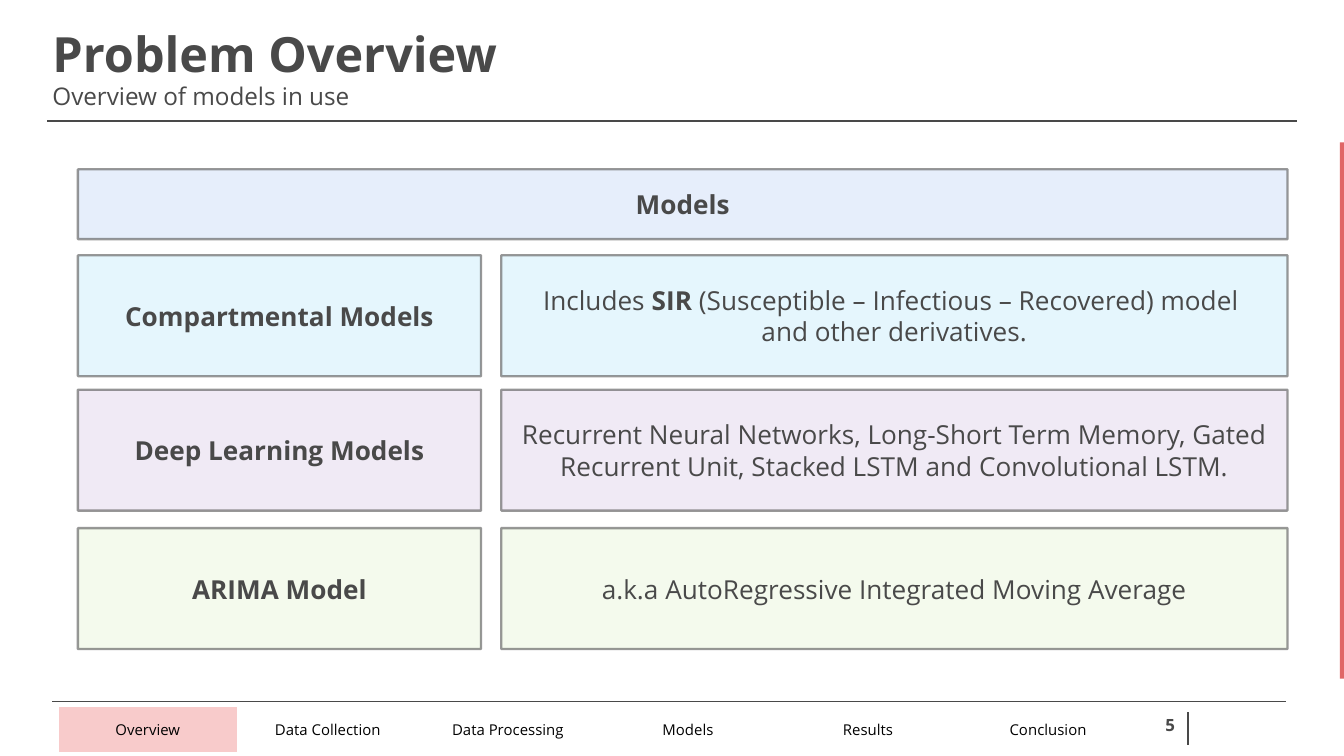
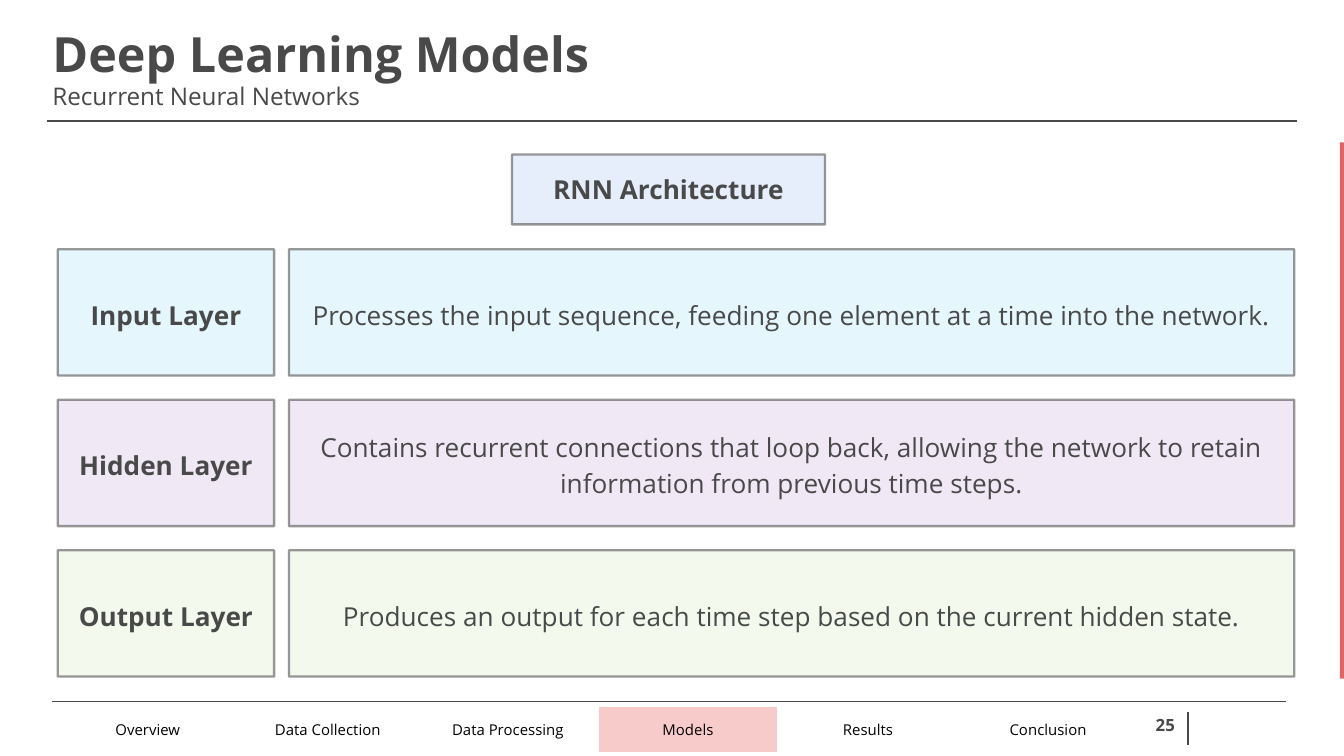
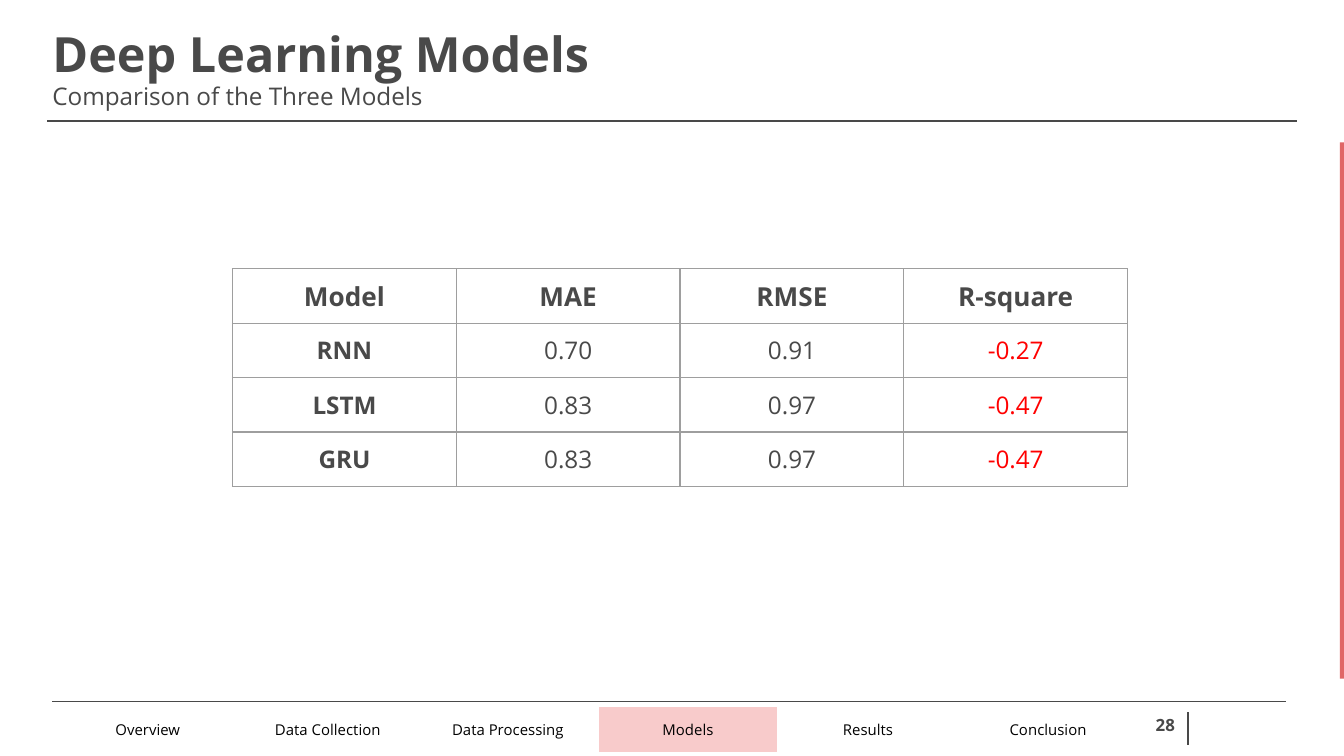
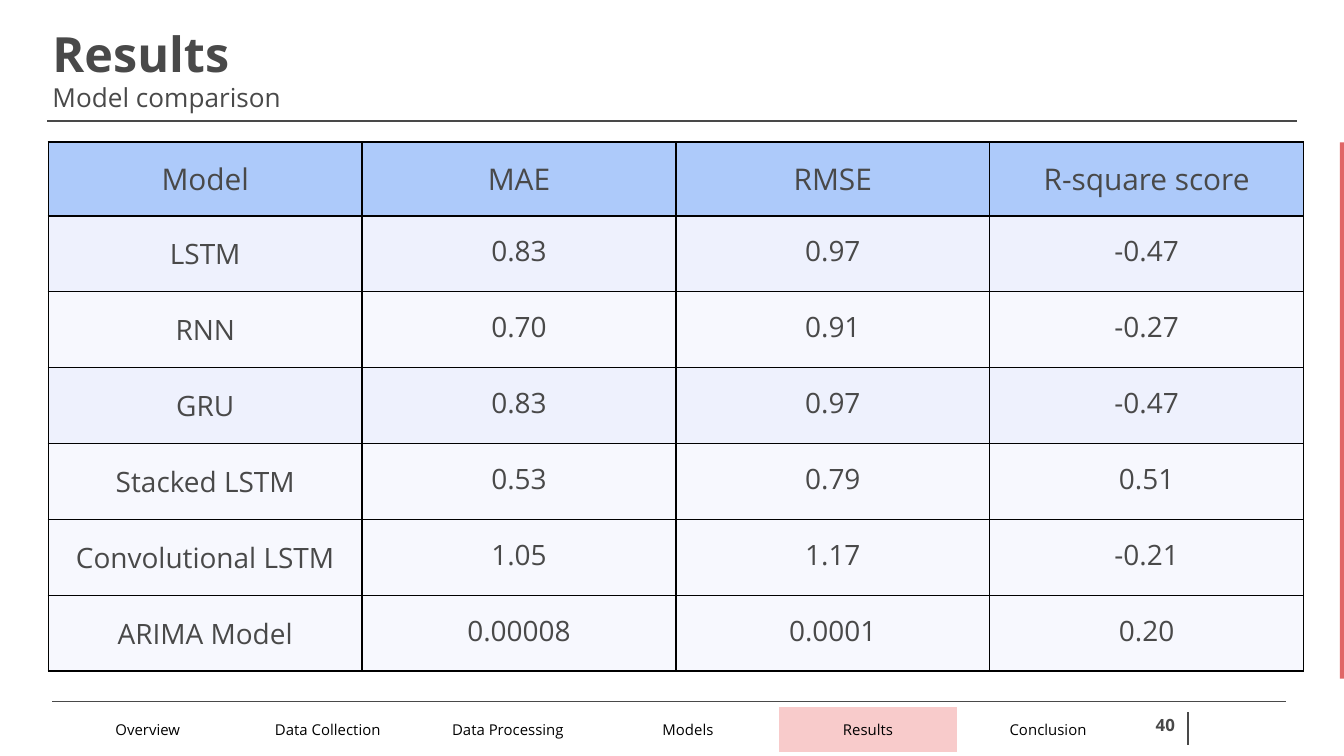
"""Build four slides on epidemic forecasting models and their results."""
from dataclasses import dataclass
from typing import NamedTuple

from lxml.etree import SubElement
from pptx import Presentation
from pptx.dml.color import RGBColor
from pptx.dml.fill import FillFormat
from pptx.enum.shapes import MSO_CONNECTOR as CONNECTOR, MSO_SHAPE as SHAPE
from pptx.enum.text import MSO_ANCHOR as ANCHOR, MSO_AUTO_SIZE as AUTO, PP_ALIGN as ALIGN
from pptx.oxml.ns import qn
from pptx.slide import Slide
from pptx.text.text import TextFrame, _Paragraph as Paragraph
from pptx.util import Emu, Pt

PX_PER_INCH = 200
FONT = "Open Sans"
INK, RED, BLACK, WHITE = "494949", "FF0000", "000000", "FFFFFF"
BAR, ACTIVE_TAB, BOX_LINE, GRID = "E06666", "F8CBCB", "595959", "9E9E9E"
SECTIONS = ("Overview", "Data Collection", "Data Processing", "Models", "Results", "Conclusion")
PAD = (20, 20, 20, 20)
CELL_PAD = (20, 10, 20, 10)
VALUE_PAD = (2, 2, 2, 10)


class Fill(NamedTuple):
    """A colour and its opacity in percent."""
    color: str
    alpha: int = 100


class Run(NamedTuple):
    """A stretch of text in one style."""
    text: str
    size: float = 14
    bold: bool = False
    color: str = INK


class Rect(NamedTuple):
    """A place on the slide in px."""
    x: int
    y: int
    w: int
    h: int


class Cell(NamedTuple):
    """One table cell."""
    run: Run
    fill: Fill | None = None
    pad: tuple[int, int, int, int] = CELL_PAD


class Row(NamedTuple):
    """A labelled band: its top, label, description lines and fill."""
    y: int
    label: str
    lines: list[list[Run]]
    fill: Fill


@dataclass
class Grid:
    """Columns and spacing shared by the labelled bands of one slide."""
    label_x: int
    label_w: int
    text_x: int
    text_w: int
    h: int
    spacing: float


BLUE, CYAN = Fill("0D5BDC", 10), Fill("00B0F0", 10)
LILAC, PURPLE = Fill("F0EAF5"), Fill("7030A0", 10)
MINT, GREEN = Fill("F4FAED"), Fill("92D050", 10)
HEADER = Fill("4285F4", 43)
DARK_BAND, LIGHT_BAND = Fill("CFD9FB", 35), Fill("E9EDFD", 35)


def px(n: int) -> Emu:
    """Turn px into EMU."""
    return Emu(n * 914400 // PX_PER_INCH)


def rgb(color: str) -> RGBColor:
    """Turn a hex string into a colour."""
    return RGBColor.from_string(color)


def paint(target: FillFormat, fill: Fill) -> None:
    """Apply a solid fill with its opacity."""
    target.solid()
    target.fore_color.rgb = rgb(fill.color)
    if fill.alpha < 100:
        color = target._xPr.find(qn("a:solidFill"))[0]
        SubElement(color, qn("a:alpha"), val=str(fill.alpha * 1000))


def add_run(p: Paragraph, run: Run) -> None:
    """Add a styled run to a paragraph."""
    r = p.add_run()
    r.text = run.text
    r.font.name, r.font.size, r.font.bold = FONT, Pt(run.size), run.bold
    r.font.color.rgb = rgb(run.color)


def set_pad(target, pad: tuple[int, int, int, int]) -> None:
    """Set the left, top, right and bottom margins of a frame or cell."""
    for side, n in zip(("left", "top", "right", "bottom"), pad):
        setattr(target, f"margin_{side}", px(n))


def fill_frame(tf: TextFrame, lines: list[list[Run]], align: ALIGN, anchor: ANCHOR,
               pad: tuple[int, int, int, int] = PAD, spacing: float = 1) -> None:
    """Write lines into one paragraph of a text frame."""
    tf.word_wrap, tf.vertical_anchor = True, anchor
    set_pad(tf, pad)
    p = tf.paragraphs[0]
    p.alignment, p.line_spacing = align, spacing
    for i, line in enumerate(lines):
        if i:
            p.add_line_break()
        for run in line:
            add_run(p, run)


def add_line(s: Slide, x1: int, y1: int, x2: int, y2: int) -> None:
    """Draw a thin rule."""
    c = s.shapes.add_connector(CONNECTOR.STRAIGHT, px(x1), px(y1), px(x2), px(y2))
    c.line.width = Pt(0.75)
    paint(c.line.fill, Fill(INK))
    SubElement(c._element.spPr, qn("a:effectLst"))


def add_box(s: Slide, rect: Rect, fill: Fill, lines: list[list[Run]], spacing: float = 1) -> None:
    """Draw an outlined box with centred text."""
    sp = s.shapes.add_shape(SHAPE.RECTANGLE, *map(px, rect))
    sp.shadow.inherit = False
    paint(sp.fill, fill)
    sp.line.width = Pt(1.25)
    paint(sp.line.fill, Fill(BOX_LINE, 61))
    fill_frame(sp.text_frame, lines, ALIGN.CENTER, ANCHOR.MIDDLE, CELL_PAD, spacing)


def add_grid(s: Slide, x: int, y: int, col_w: int, heights: list[int],
             rows: list[list[Cell]], border: str, width: float) -> None:
    """Draw a table with even columns and one border style."""
    cols = len(rows[0])
    frame = s.shapes.add_table(len(rows), cols, px(x), px(y), px(col_w * cols), px(sum(heights)))
    table = frame.table
    table.first_row = table.horz_banding = False
    for col in table.columns:
        col.width = px(col_w)
    for i, (height, row) in enumerate(zip(heights, rows)):
        table.rows[i].height = px(height)
        for j, item in enumerate(row):
            cell = table.cell(i, j)
            cell.vertical_anchor = ANCHOR.MIDDLE
            set_pad(cell, item.pad)
            p = cell.text_frame.paragraphs[0]
            p.alignment = ALIGN.CENTER
            add_run(p, item.run)
            tc_pr = cell._tc.get_or_add_tcPr()
            for side in "LRTB":
                ln = SubElement(tc_pr, qn(f"a:ln{side}"), w=str(Pt(width)))
                solid = SubElement(ln, qn("a:solidFill"))
                SubElement(solid, qn("a:srgbClr"), val=border)
            if item.fill:
                paint(cell.fill, item.fill)
            else:
                cell.fill.background()


def add_bands(s: Slide, grid: Grid, rows: list[Row]) -> None:
    """Draw a label box and a description box for each row."""
    for row in rows:
        add_box(s, Rect(grid.label_x, row.y, grid.label_w, grid.h), row.fill,
                [[Run(row.label, bold=True)]], grid.spacing)
        add_box(s, Rect(grid.text_x, row.y, grid.text_w, grid.h), row.fill,
                row.lines, grid.spacing)


def add_slide(prs: Presentation, title: str, subtitle: str, section: str,
              number: int, subtitle_size: float = 13) -> Slide:
    """Add a slide with its title, side bar and section footer."""
    s = prs.slides.add_slide(prs.slide_layouts[5])
    head = s.shapes.title
    head.left, head.top, head.width, head.height = map(px, Rect(58, 2, 1860, 174))
    tf = head.text_frame
    tf.auto_size = AUTO.NONE
    fill_frame(tf, [[Run(title, 26, True)]], ALIGN.LEFT, ANCHOR.TOP, spacing=1.15)
    p = tf.add_paragraph()
    p.alignment = ALIGN.LEFT
    add_run(p, Run(subtitle, subtitle_size))

    bar = s.shapes.add_shape(SHAPE.RECTANGLE, *map(px, Rect(1994, 212, 6, 798)))
    bar.shadow.inherit = False
    paint(bar.fill, Fill(BAR))
    bar.line.fill.background()

    add_line(s, 70, 180, 1930, 180)
    add_line(s, 78, 1044, 1914, 1044)
    add_line(s, 1768, 1060, 1768, 1108)
    tabs = [Cell(Run(name, 8, color=BLACK), Fill(ACTIVE_TAB if name == section else WHITE), PAD)
            for name in SECTIONS]
    add_grid(s, 86, 1050, 268, [66], [tabs], WHITE, 1.5)
    box = s.shapes.add_textbox(*map(px, Rect(1696, 1048, 72, 70)))
    fill_frame(box.text_frame, [[Run(str(number), 9, True)]], ALIGN.RIGHT, ANCHOR.TOP)
    return s


def build_overview(prs: Presentation) -> None:
    """Build the overview of model families."""
    s = add_slide(prs, "Problem Overview", "Overview of models in use", "Overview", 5)
    add_box(s, Rect(116, 252, 1800, 104), BLUE, [[Run("Models", bold=True)]])
    add_bands(s, Grid(116, 600, 746, 1170, 180, 1), [
        Row(380, "Compartmental Models", [
            [Run("Includes "), Run("SIR ", bold=True),
             Run("(Susceptible – Infectious – Recovered) model ")],
            [Run("and other derivatives.")]], CYAN),
        Row(580, "Deep Learning Models", [[Run(
            "Recurrent Neural Networks, Long-Short Term Memory, Gated Recurrent Unit, "
            "Stacked LSTM and Convolutional LSTM.")]], LILAC),
        Row(786, "ARIMA Model", [[Run("a.k.a AutoRegressive Integrated Moving Average")]], MINT),
    ])


def build_rnn(prs: Presentation) -> None:
    """Build the layers of the recurrent network."""
    s = add_slide(prs, "Deep Learning Models", "Recurrent Neural Networks", "Models", 25)
    add_box(s, Rect(762, 230, 466, 104), BLUE, [[Run("RNN Architecture", bold=True)]])
    layers = [
        ("Input Layer", "Processes the input sequence, feeding one element at a time "
         "into the network.", CYAN),
        ("Hidden Layer", "Contains recurrent connections that loop back, allowing the network "
         "to retain information from previous time steps.", PURPLE),
        ("Output Layer", "Produces an output for each time step based on the current "
         "hidden state.", GREEN),
    ]
    add_bands(s, Grid(86, 322, 430, 1496, 188, 1.14),
              [Row(371 + 224 * i, label, [[Run(text)]], fill)
               for i, (label, text, fill) in enumerate(layers)])


def build_comparison(prs: Presentation) -> None:
    """Build the table of the three recurrent models."""
    s = add_slide(prs, "Deep Learning Models", "Comparison of the Three Models", "Models", 28)
    rows = [[Cell(Run(name, bold=True)) for name in ("Model", "MAE", "RMSE", "R-square")]]
    for model, mae, rmse, r_square in (("RNN", "0.70", "0.91", "-0.27"),
                                       ("LSTM", "0.83", "0.97", "-0.47"),
                                       ("GRU", "0.83", "0.97", "-0.47")):
        rows.append([Cell(Run(model, 13, True)), Cell(Run(mae, 13)), Cell(Run(rmse, 13)),
                     Cell(Run(r_square, 13, color=RED))])
    add_grid(s, 346, 400, 333, [81] * len(rows), rows, GRID, 0.75)


def build_results(prs: Presentation) -> None:
    """Build the table of all model results."""
    s = add_slide(prs, "Results", "Model comparison", "Results", 40, 14)
    results = [
        ("LSTM", "0.83", "0.97", "-0.47", DARK_BAND),
        ("RNN", "0.70", "0.91", "-0.27", LIGHT_BAND),
        ("GRU", "0.83", "0.97", "-0.47", DARK_BAND),
        ("Stacked LSTM", "0.53", "0.79", "0.51", LIGHT_BAND),
        ("Convolutional LSTM", "1.05", "1.17", "-0.21", LIGHT_BAND),
        ("ARIMA Model", "0.00008", "0.0001", "0.20", LIGHT_BAND),
    ]
    rows = [[Cell(Run(name, 16), HEADER) for name in ("Model", "MAE", "RMSE", "R-square score")]]
    for model, *values, band in results:
        rows.append([Cell(Run(model, 15), band)]
                    + [Cell(Run(value, 15), band, VALUE_PAD) for value in values])
    add_grid(s, 72, 211, 467, [110] + [113] * len(results), rows, BLACK, 1)


def main() -> None:
    """Build and save the presentation."""
    prs = Presentation()
    prs.slide_width, prs.slide_height = px(2000), px(1125)
    for build in (build_overview, build_rnn, build_comparison, build_results):
        build(prs)
    prs.save("out.pptx")


if __name__ == "__main__":
    main()
